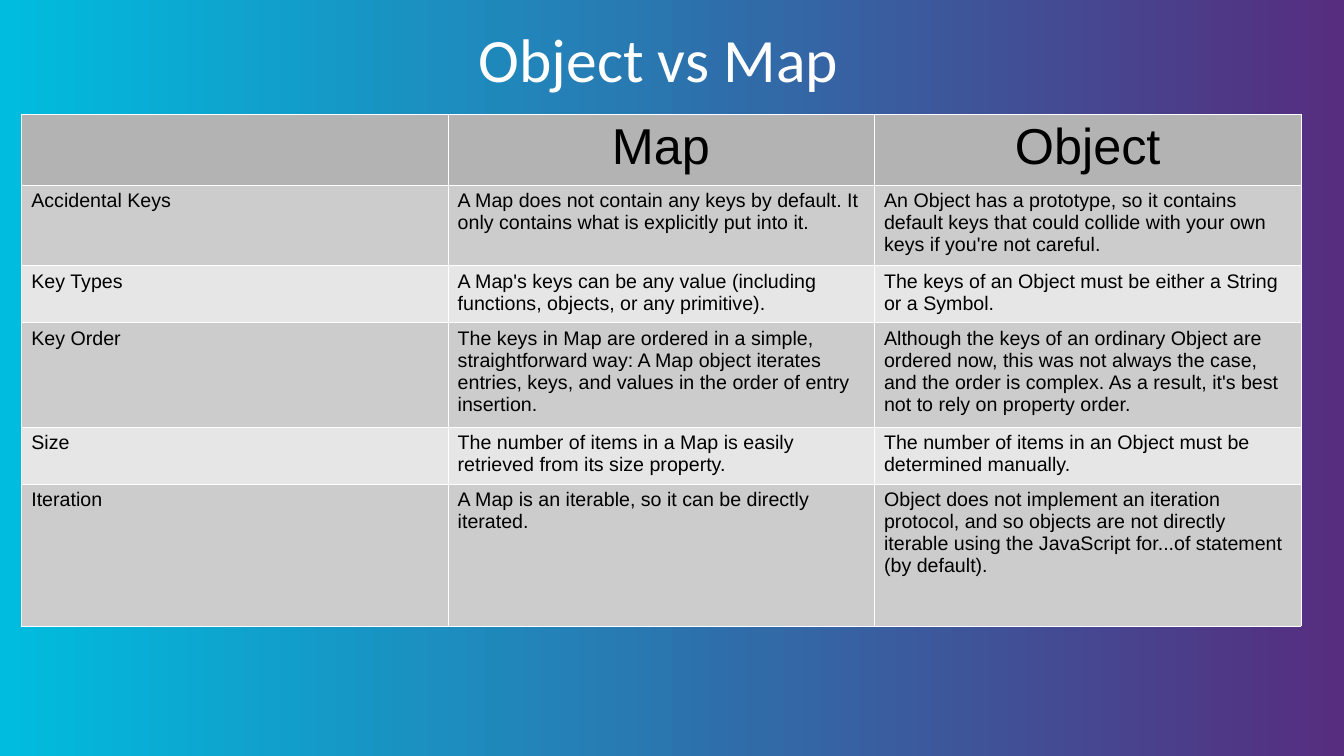
from pptx import Presentation
from pptx.dml.color import RGBColor
from pptx.enum.text import MSO_ANCHOR, PP_ALIGN
from pptx.oxml import parse_xml
from pptx.oxml.ns import nsdecls
from pptx.util import Pt

COLORS = {
    "purple": "562D7F",
    "cyan": "00BCDE",
    "white": "FFFFFF",
    "black": "000000",
    "header": "B3B3B3",
    "odd": "CCCCCC",
    "even": "E6E6E6",
}
BORDER_PT = 0.06
COLUMN_WIDTHS = [304.56, 304.56, 305.28]
ROW_HEIGHTS = [47.5, 54.5, 39, 70.5, 39, 101.5]
ROWS = [
    ("", "Map", "Object"),
    ("Accidental Keys",
     "A Map does not contain any keys by default. It only contains what is explicitly put into it.",
     "An Object has a prototype, so it contains default keys that could collide with your own keys "
     "if you're not careful."),
    ("Key Types",
     "A Map's keys can be any value (including functions, objects, or any primitive).",
     "The keys of an Object must be either a String or a Symbol."),
    ("Key Order",
     "The keys in Map are ordered in a simple, straightforward way: A Map object iterates entries, "
     "keys, and values in the order of entry insertion.",
     "Although the keys of an ordinary Object are ordered now, this was not always the case, and "
     "the order is complex. As a result, it's best not to rely on property order."),
    ("Size",
     "The number of items in a Map is easily retrieved from its size property.",
     "The number of items in an Object must be determined manually."),
    ("Iteration",
     "A Map is an iterable, so it can be directly iterated.",
     "Object does not implement an iteration protocol, and so objects are not directly iterable "
     "using the JavaScript for...of statement (by default)."),
]


def rgb(name):
    return RGBColor.from_string(COLORS[name])


def add_run(p, text, font, size, color):
    r = p.add_run()
    r.text = text
    r.font.name = font
    r.font.size = Pt(size)
    r.font.color.rgb = rgb(color)


def paint_background(s):
    fill = s.background.fill
    fill.gradient()
    fill.gradient_angle = 180
    for stop, name in zip(fill.gradient_stops, ("purple", "cyan")):
        stop.color.rgb = rgb(name)


def add_title(s, text, left, top, width, height):
    sp = s.shapes.add_textbox(Pt(left), Pt(top), Pt(width), Pt(height))
    tf = sp.text_frame
    tf.word_wrap = True
    tf.vertical_anchor = MSO_ANCHOR.MIDDLE
    tf.margin_left = 0
    p = tf.paragraphs[0]
    p.alignment = PP_ALIGN.CENTER
    p.line_spacing = 0.9
    add_run(p, text, "Calibri", 44, "white")


def add_borders(cell):
    tc_pr = cell._tc.get_or_add_tcPr()
    for i, side in enumerate(("lnL", "lnR", "lnT", "lnB")):
        tc_pr.insert(i, parse_xml(
            f'<a:{side} {nsdecls("a")} w="{Pt(BORDER_PT)}"><a:solidFill>'
            f'<a:srgbClr val="{COLORS["white"]}"/></a:solidFill></a:{side}>'))


def fill_cell(cell, text, is_header, fill_name):
    cell.fill.solid()
    cell.fill.fore_color.rgb = rgb(fill_name)
    add_borders(cell)
    if text:
        p = cell.text_frame.paragraphs[0]
        if is_header:
            p.alignment = PP_ALIGN.CENTER
        add_run(p, text, "Arial", 36 if is_header else 14, "black")


def add_comparison(s, left, top, width, height):
    frame = s.shapes.add_table(len(ROWS), len(COLUMN_WIDTHS),
                               Pt(left), Pt(top), Pt(width), Pt(height))
    table = frame.table
    table.first_row = False
    table.horz_banding = False
    for column, share in zip(table.columns, COLUMN_WIDTHS):
        column.width = Pt(width * share / sum(COLUMN_WIDTHS))
    for i, texts in enumerate(ROWS):
        table.rows[i].height = Pt(height * ROW_HEIGHTS[i] / sum(ROW_HEIGHTS))
        fill_name = "header" if i == 0 else "odd" if i % 2 else "even"
        for j, text in enumerate(texts):
            fill_cell(table.cell(i, j), text, i == 0, fill_name)


def main():
    prs = Presentation()
    prs.slide_width, prs.slide_height = Pt(960), Pt(540)
    s = prs.slides.add_slide(prs.slide_layouts[6])
    paint_background(s)
    add_title(s, "Object vs Map", 48, 18, 852, 54)
    add_comparison(s, 15.2, 81.4, 914.4, 352)
    prs.save("out.pptx")


if __name__ == "__main__":
    main()
